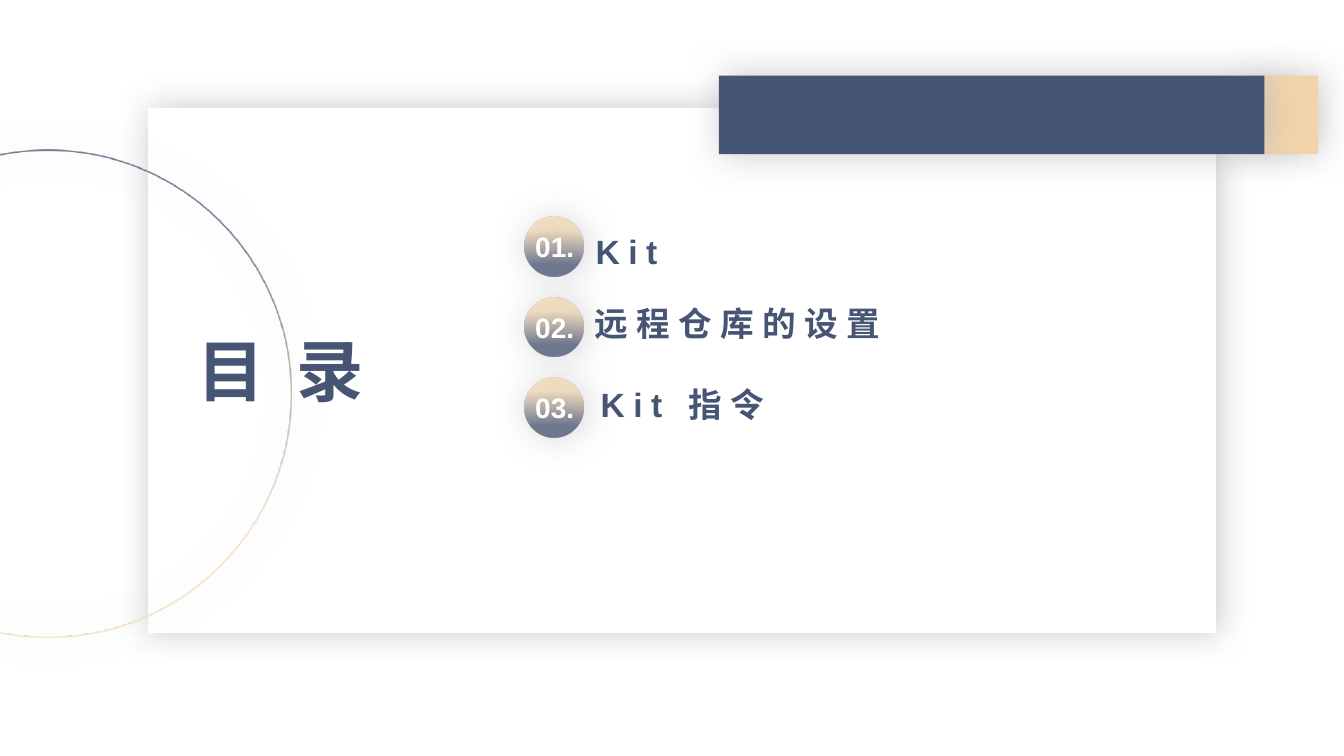
from dataclasses import dataclass

from lxml import etree
from pptx import Presentation
from pptx.dml.color import RGBColor
from pptx.enum.shapes import MSO_SHAPE
from pptx.enum.text import MSO_ANCHOR, PP_ALIGN
from pptx.oxml.ns import qn
from pptx.util import Inches, Pt

RECT, OVAL, RING = MSO_SHAPE.RECTANGLE, MSO_SHAPE.OVAL, MSO_SHAPE.DONUT
TOP, LEFT = MSO_ANCHOR.TOP, PP_ALIGN.LEFT
TITLE_ONLY = 5


@dataclass(frozen=True)
class Theme:
    navy: str = "475574"
    sand: str = "F2D4AA"
    white: str = "FFFFFF"
    shadow: str = "BFBFBF"
    font: str = "Arial"
    title: int = 48
    item: int = 24
    number: int = 20
    spacing: int = 6


THEME = Theme()
# Position %, colour, opacity %
GRADIENT = ((20, THEME.navy, 76), (77, THEME.sand, 66))


def add_color(parent, color, alpha):
    clr = etree.SubElement(parent, qn("a:srgbClr"), val=color)
    etree.SubElement(clr, qn("a:alpha"), val=str(alpha * 1000))


def add_shadow(sp):
    effects = etree.SubElement(sp._element.spPr, qn("a:effectLst"))
    shadow = etree.SubElement(effects, qn("a:outerShdw"), blurRad=str(Pt(24)),
                              dist=str(Pt(2)), dir="0", algn="ctr", rotWithShape="0")
    add_color(shadow, THEME.shadow, 86)


def fill_gradient(sp):
    """Replace the fill with the vertical theme gradient."""
    sp.fill.background()
    old = sp._element.spPr.find(qn("a:noFill"))
    grad = etree.Element(qn("a:gradFill"), rotWithShape="1")
    stops = etree.SubElement(grad, qn("a:gsLst"))
    for pos, color, alpha in GRADIENT:
        add_color(etree.SubElement(stops, qn("a:gs"), pos=str(pos * 1000)), color, alpha)
    etree.SubElement(grad, qn("a:lin"), ang="5400000", scaled="0")
    old.getparent().replace(old, grad)


def add_panel(shapes, kind, box, color=None):
    """Add a borderless shadowed shape; without a colour it takes the gradient."""
    sp = shapes.add_shape(kind, *map(Inches, box))
    sp.line.fill.background()
    if color:
        sp.fill.solid()
        sp.fill.fore_color.rgb = RGBColor.from_string(color)
    else:
        fill_gradient(sp)
    add_shadow(sp)
    return sp


def write_text(sp, text, size, color, spacing=0, wrap=True):
    tf = sp.text_frame
    for name, value in {"word_wrap": wrap, "vertical_anchor": TOP}.items():
        setattr(tf, name, value)
    p = tf.paragraphs[0]
    p.alignment = LEFT
    r = p.add_run()
    r.text = text
    for name, value in {"name": THEME.font, "size": Pt(size), "bold": True}.items():
        setattr(r.font, name, value)
    r.font.color.rgb = RGBColor.from_string(color)
    if spacing:
        r._r.get_or_add_rPr().set("spc", str(spacing * 100))


def add_title(slide, box, text):
    """Place the title placeholder in front of the shapes drawn so far."""
    sp = slide.shapes.title
    sp.left, sp.top, sp.width, sp.height = map(Inches, box)
    write_text(sp, text, THEME.title, THEME.navy, THEME.spacing)
    slide.shapes._spTree.append(sp._element)


def add_banner(slide, box):
    left, top, width, height = box
    tab, bar = 0.69, 5.41
    shapes = slide.shapes.add_group_shape().shapes
    add_panel(shapes, RECT, (left + width - tab, top, tab, height), THEME.sand)
    add_panel(shapes, RECT, (left, top, bar, height), THEME.navy)


def add_item(slide, badge_box, number, label, label_box):
    """Add a numbered badge and its label, which is placed from the badge corner."""
    left, top, _, _ = badge_box
    dx, dy, width, height = label_box
    shapes = slide.shapes.add_group_shape().shapes
    badge = add_panel(shapes, OVAL, badge_box)
    badge._element.spPr.find(qn("a:xfrm")).set("flipV", "1")
    tb = shapes.add_textbox(*map(Inches, (left + 0.01, top + 0.08, 0.91, 0.44)))
    write_text(tb, f"{number:02d}.", THEME.number, THEME.white)
    tb = shapes.add_textbox(*map(Inches, (left + dx, top + dy, width, height)))
    write_text(tb, label, THEME.item, THEME.navy, THEME.spacing, wrap=False)


def add_contents(slide, left, top):
    badge, pitch = 0.59, 0.8
    items = (
        ("Kit", (0.61, 0.09, 0.91, 0.5)),
        ("远程仓库的设置", (0.6, 0.01, 3.15, 0.5)),
        ("Kit 指令", (0.66, 0.01, 1.94, 0.5)),
    )
    for i, (label, label_box) in enumerate(items):
        box = (left, top + i * pitch, badge, badge)
        add_item(slide, box, i + 1, label, label_box)


def build_contents_slide(prs):
    slide = prs.slides.add_slide(prs.slide_layouts[TITLE_ONLY])
    add_panel(slide.shapes, RECT, (1.47, 1.07, 10.59, 5.21), THEME.white)
    add_title(slide, (1.86, 3.22, 2.13, 0.91), "目 录")
    add_banner(slide, (7.13, 0.75, 5.94, 0.78))
    ring = add_panel(slide.shapes, RING, (-1.95, 1.48, 4.84, 4.84))
    ring.adjustments[0] = 0.003
    add_contents(slide, 5.2, 2.15)


def main():
    prs = Presentation()
    prs.slide_width, prs.slide_height = Inches(13.33), Inches(7.5)
    build_contents_slide(prs)
    prs.save("out.pptx")


if __name__ == "__main__":
    main()
